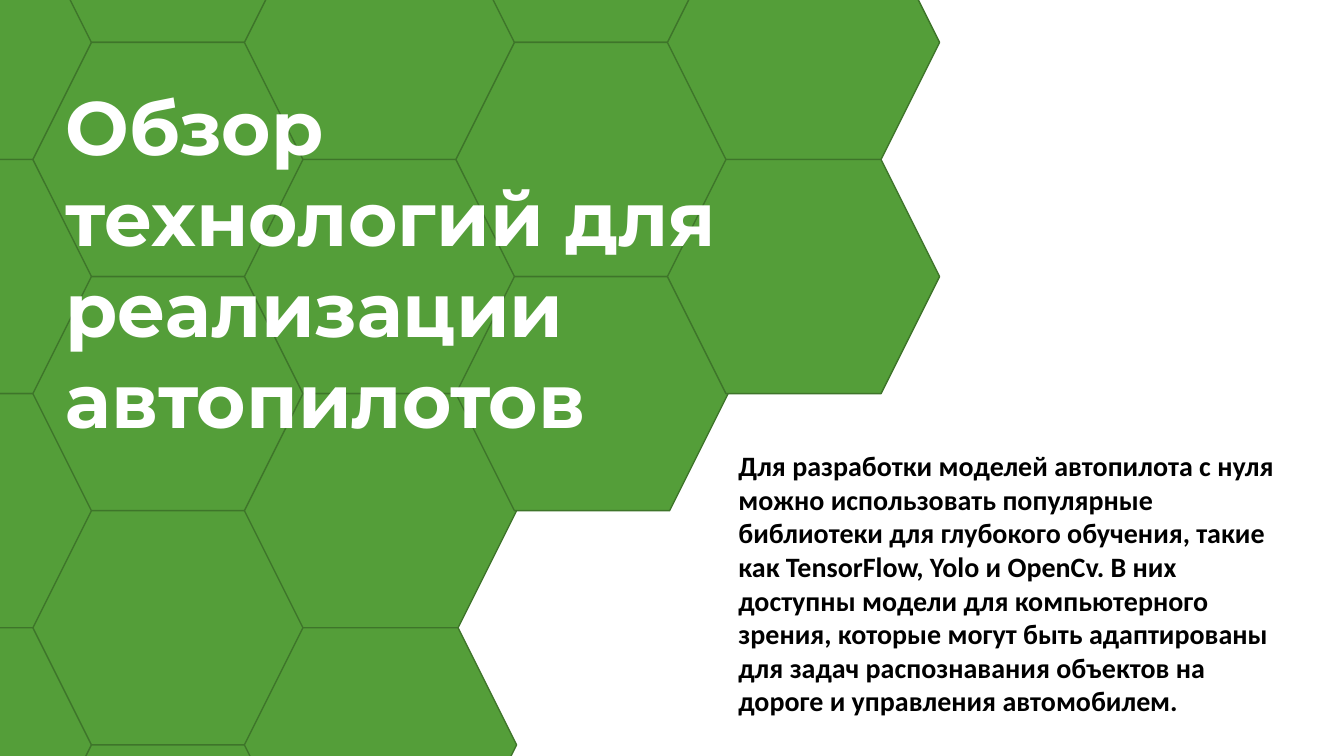
"""Build the title slide about autopilot technologies."""
from pptx import Presentation
from pptx.dml.color import RGBColor
from pptx.enum.shapes import MSO_SHAPE
from pptx.enum.text import MSO_ANCHOR, PP_ALIGN
from pptx.util import Cm, Pt

COLORS = {"green": "549E39", "edge": "3E752A", "white": "FFFFFF", "black": "000000"}

TITLE = "Обзор технологий для реализации автопилотов"
BODY = (
    "Для разработки моделей автопилота с нуля можно использовать популярные "
    "библиотеки для глубокого обучения, такие как TensorFlow, Yolo и OpenCv. "
    "В них доступны модели для компьютерного зрения, которые могут быть "
    "адаптированы для задач распознавания объектов на дороге и управления "
    "автомобилем."
)

HEX_W, HEX_H = 6.86, 5.9
COLUMN_STEP = 5.33
GRID_LEFT, GRID_TOP = -4.5, -1.88
COLUMN_COUNTS = (4, 5, 4, 3, 2)


class Deck:
    def __init__(self):
        self.prs = Presentation()
        self.prs.slide_width = Cm(33.87)
        self.prs.slide_height = Cm(19.05)
        self.slide = self.prs.slides.add_slide(self.prs.slide_layouts[6])

    def color(self, name):
        return RGBColor.from_string(COLORS[name])

    def hexagon(self, x, y):
        sp = self.slide.shapes.add_shape(
            MSO_SHAPE.HEXAGON, Cm(x), Cm(y), Cm(HEX_W), Cm(HEX_H)
        )
        sp.shadow.inherit = False
        sp.fill.solid()
        sp.fill.fore_color.rgb = self.color("green")
        sp.line.color.rgb = self.color("edge")
        sp.line.width = Pt(1)

    def text(self, x, y, w, h, text, font, size, color):
        tf = self.slide.shapes.add_textbox(Cm(x), Cm(y), Cm(w), Cm(h)).text_frame
        tf.word_wrap = True
        tf.vertical_anchor = MSO_ANCHOR.TOP
        p = tf.paragraphs[0]
        p.text = text
        p.alignment = PP_ALIGN.LEFT
        r = p.runs[0]
        r.font.name = font
        r.font.size = Pt(size)
        r.font.bold = True
        r.font.color.rgb = self.color(color)


def main():
    deck = Deck()
    for column, count in enumerate(COLUMN_COUNTS):
        top = GRID_TOP - column % 2 * HEX_H / 2
        for row in range(count):
            deck.hexagon(GRID_LEFT + column * COLUMN_STEP, top + row * HEX_H)
    deck.text(1.4, 1.9, 18.42, 10.26, TITLE, "Montserrat", 54, "white")
    deck.text(18.36, 11.18, 14.48, 7.87, BODY, "Calibri", 20, "black")
    deck.prs.save("out.pptx")


if __name__ == "__main__":
    main()
